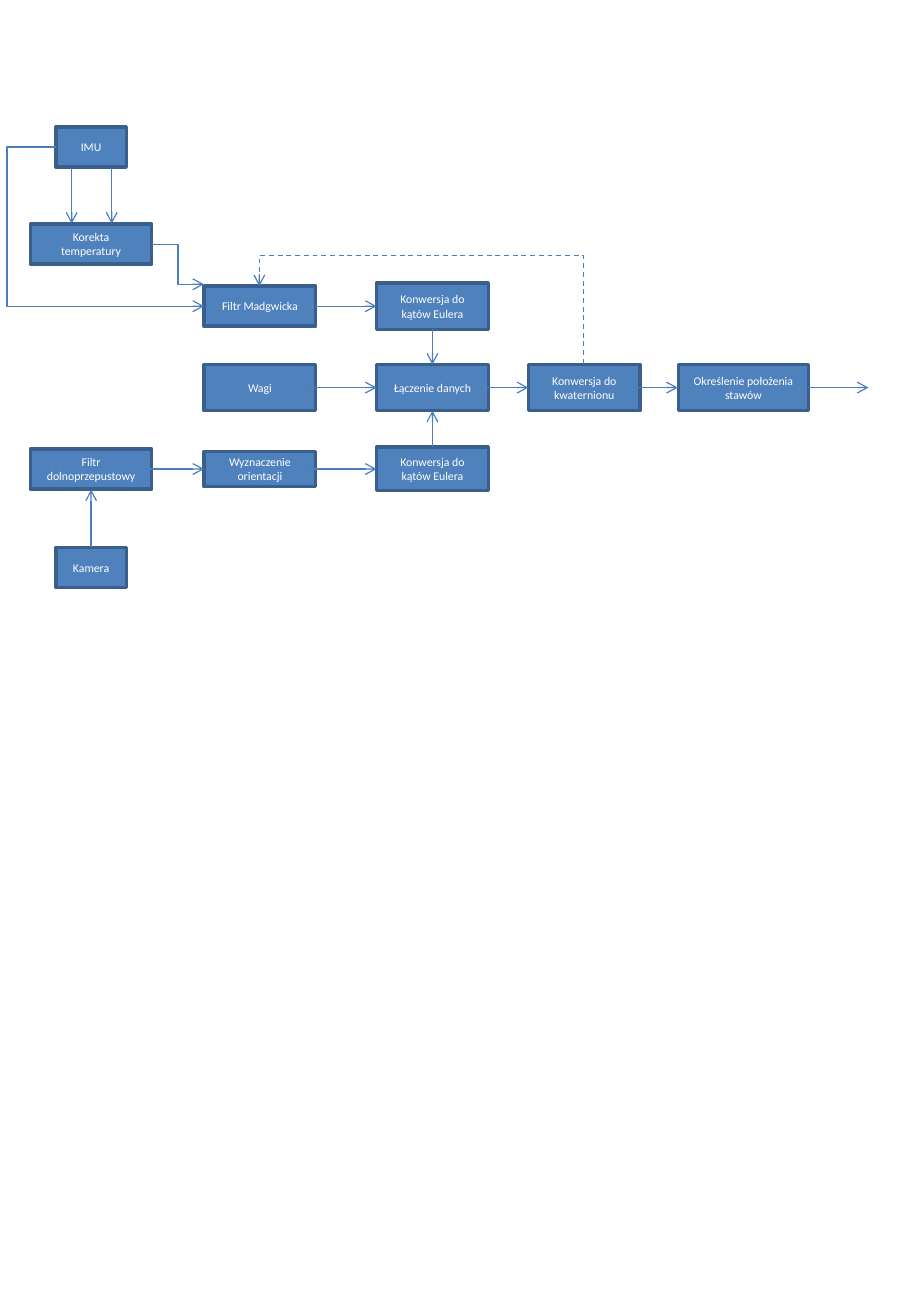
from lxml import etree
from pptx import Presentation, util as u
from pptx.dml.color import RGBColor
from pptx.enum import dml, shapes, text
from pptx.oxml import ns

presentation = Presentation()
presentation.slide_width = u.Inches(7.5)
presentation.slide_height = u.Inches(10.83)
slide = presentation.slides.add_slide(presentation.slide_layouts[6])


def paint(color_format, hex_color):
    color_format.rgb = RGBColor.from_string(hex_color)


def add_arrow(kind, start, end):
    points = [u.Inches(value) for value in (*start, *end)]
    arrow = slide.shapes.add_connector(kind, *points)
    paint(arrow.line.color, "4B7EBC")
    arrow.line.width = u.Pt(0.75)
    properties = arrow._element.spPr
    line = properties.find(ns.qn("a:ln"))
    etree.SubElement(line, ns.qn("a:tailEnd"), type="arrow")
    etree.SubElement(properties, ns.qn("a:effectLst"))
    return arrow


# Grid: centres of the columns and rows, in inches
SENSOR, FILTER, EULER, QUATERNION, JOINTS = 0.75, 2.14, 3.56, 4.81, 6.12
IMU, CORRECTION, MADGWICK, FUSION, LOW_PASS, CAMERA = 1.21, 2.01, 2.52, 3.19, 3.86, 4.67

# Boxes: text, column, row, width, height
boxes = [
    ("IMU", SENSOR, IMU, 0.58, 0.33),
    ("Kamera", SENSOR, CAMERA, 0.58, 0.33),
    ("Korekta temperatury", SENSOR, CORRECTION, 1, 0.33),
    ("Filtr Madgwicka", FILTER, MADGWICK, 0.92, 0.33),
    ("Filtr dolnoprzepustowy", SENSOR, LOW_PASS, 1, 0.33),
    ("Wagi", FILTER, FUSION, 0.92, 0.38),
    ("Wyznaczenie orientacji", FILTER, LOW_PASS, 0.92, 0.29),
    ("Konwersja do kątów Eulera", EULER, MADGWICK, 0.92, 0.38),
    ("Konwersja do kątów Eulera", EULER, LOW_PASS, 0.92, 0.36),
    ("Łączenie danych", EULER, FUSION, 0.92, 0.38),
    ("Konwersja do kwaternionu", QUATERNION, FUSION, 0.92, 0.38),
    ("Określenie położenia stawów", JOINTS, FUSION, 1.07, 0.38),
]
font_format = {"name": "Calibri", "size": u.Pt(7)}
for label, column, row, width, height in boxes:
    left, top = column - width / 2, row - height / 2
    box = slide.shapes.add_shape(
        shapes.MSO_SHAPE.RECTANGLE, *map(u.Inches, (left, top, width, height)))
    box.shadow.inherit = False
    box.fill.solid()
    paint(box.fill.fore_color, "4F81BD")
    paint(box.line.color, "3A5F8C")
    box.line.width = u.Pt(2)
    frame = box.text_frame
    frame.word_wrap = True
    frame.vertical_anchor = text.MSO_ANCHOR.MIDDLE
    paragraph = frame.paragraphs[0]
    paragraph.alignment = text.PP_ALIGN.CENTER
    run = paragraph.add_run()
    run.text = label
    for name, value in font_format.items():
        setattr(run.font, name, value)
    paint(run.font.color, "FFFFFF")

# Horizontal arrows: row, start, end
for row, start, end in [
    (LOW_PASS, 1.18, 1.68), (LOW_PASS, 2.51, 3.1), (MADGWICK, 2.59, 3.1),
    (FUSION, 2.51, 3.1), (FUSION, 4.01, 4.35), (FUSION, 5.17, 5.58),
    (FUSION, 6.65, 7.15),
]:
    add_arrow(shapes.MSO_CONNECTOR.STRAIGHT, (start, row), (end, row))

# Vertical arrows: column, start, end
for column, start, end in [
    (0.92, 1.38, 1.84), (0.59, 1.38, 1.84), (SENSOR, 4.5, 4.03),
    (EULER, 2.71, 3), (EULER, 3.68, 3.38),
]:
    add_arrow(shapes.MSO_CONNECTOR.STRAIGHT, (column, start), (column, end))

# Bent arrows: start, end, bend as a share of the width, quarter turns
for start, end, bend, turns in [
    ((0.46, IMU), (1.68, MADGWICK), -0.33, 0),
    ((1.25, CORRECTION), (1.68, 2.34), 0.5, 0),
    ((3.15, 4.01), (3.79, 1.34), 1.39, 3),
]:
    arrow = add_arrow(shapes.MSO_CONNECTOR.ELBOW, start, end)
    properties = arrow._element.spPr
    guides = properties.find(ns.qn("a:prstGeom")).find(ns.qn("a:avLst"))
    etree.SubElement(guides, ns.qn("a:gd"), name="adj1",
                     fmla=f"val {round(bend * 100000)}")
    if turns:  # the feedback path rises from the quaternion box
        properties.find(ns.qn("a:xfrm")).set("rot", str(turns * 90 * 60000))
        arrow.line.dash_style = dml.MSO_LINE.DASH

presentation.save("out.pptx")
